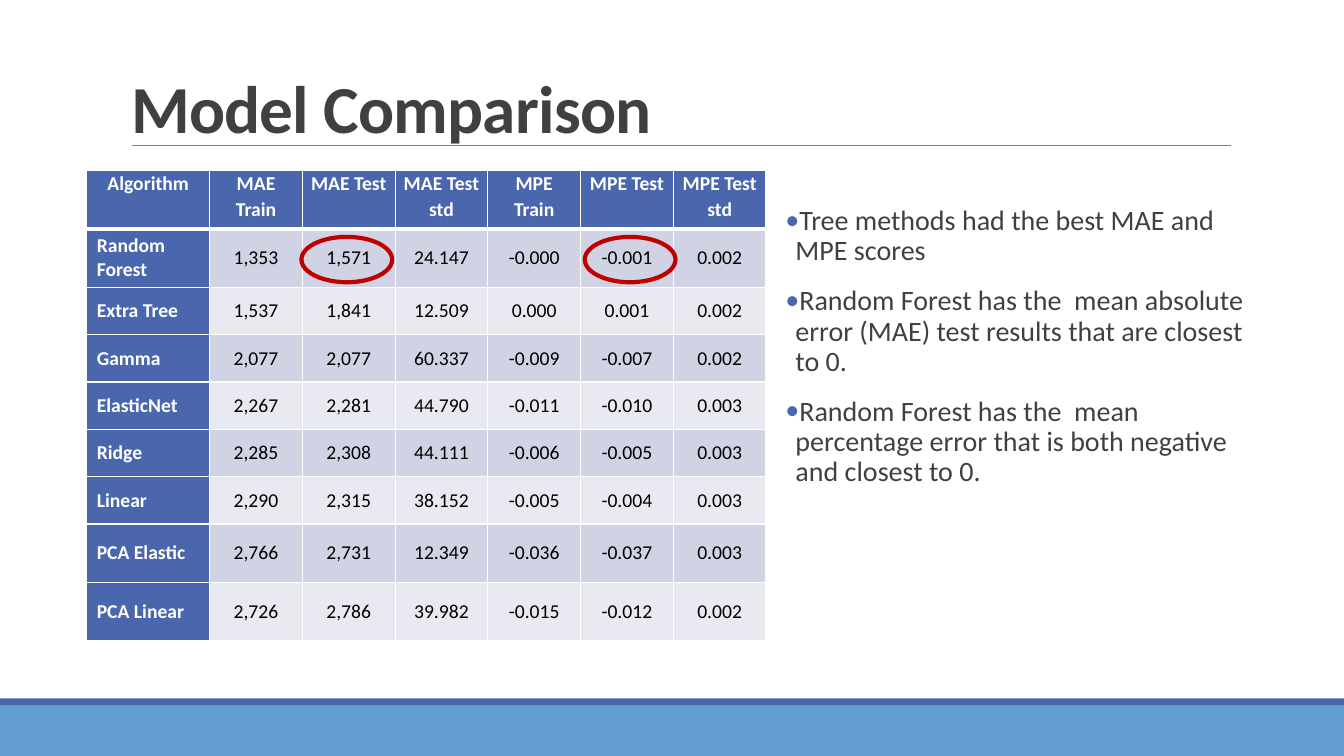
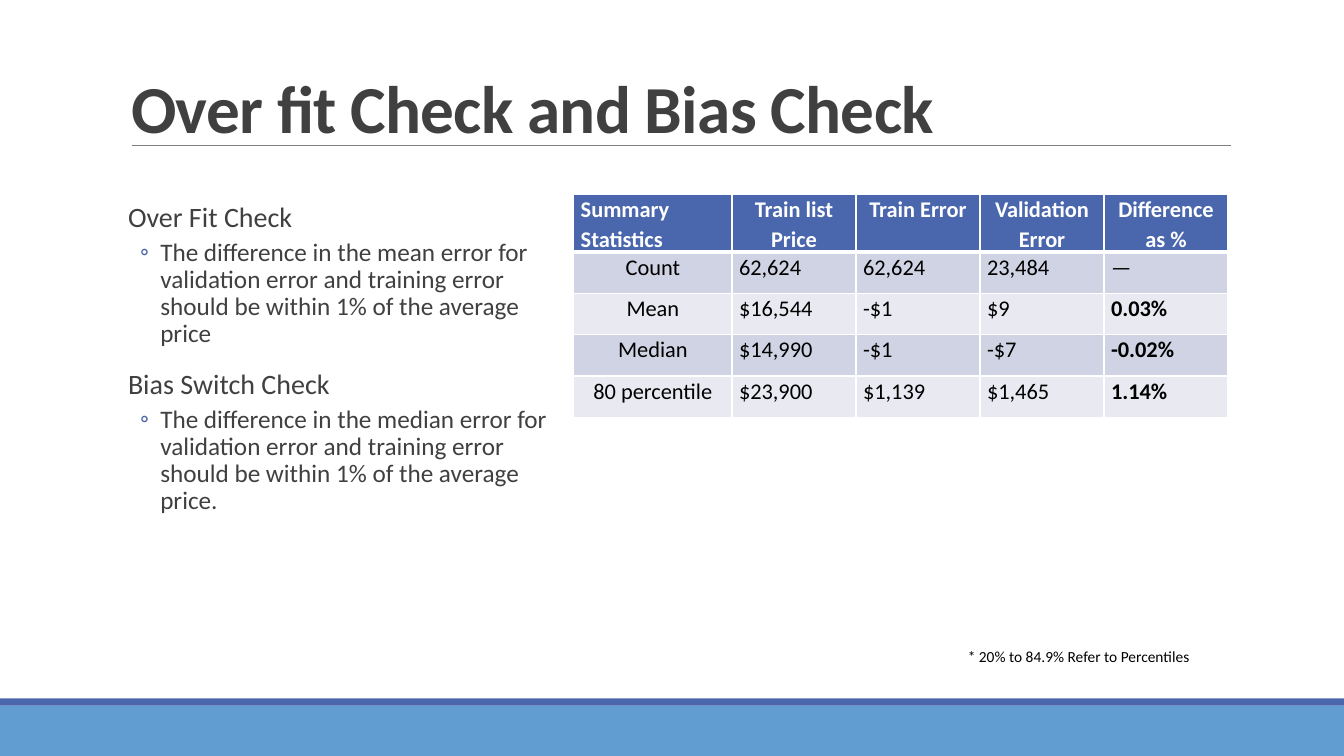
from lxml.etree import SubElement
from pptx import Presentation
from pptx.dml.color import RGBColor
from pptx.enum.shapes import MSO_CONNECTOR, MSO_SHAPE
from pptx.enum.text import MSO_ANCHOR, MSO_AUTO_SIZE, PP_ALIGN
from pptx.oxml.ns import qn
from pptx.util import Pt

PX = 9144  # 100 px to the inch
FONT = "Calibri"
COLORS = {key: RGBColor.from_string(value) for key, value in {
    "band": "629DD1", "accent": "4A66AC", "rule": "808080", "text": "404040",
    "white": "FFFFFF", "black": "000000", "odd_row": "D0D3E3",
    "even_row": "E9EAF1", "highlight": "C00000",
}.items()}


def add_text(paragraph, text, size, color, bold=False):
    run = paragraph.add_run()
    run.text = text
    run.font.name = FONT
    run.font.size = Pt(size)
    run.font.bold = bold
    run.font.color.rgb = COLORS[color]
    return run


def add_grid(slide, left, top, widths, heights, rows, size, row_headings):
    """Add a banded table; without row headings its body is set compactly."""
    frame = slide.shapes.add_table(len(rows), len(widths), left * PX, top * PX,
                                   sum(widths) * PX, sum(heights) * PX)
    table = frame.table
    table.first_col = row_headings
    for column, width in zip(table.columns, widths):
        column.width = width * PX
    for row, height in zip(table.rows, heights):
        row.height = height * PX

    for row_index, values in enumerate(rows):
        for column_index, value in enumerate(values):
            cell = table.cell(row_index, column_index)
            is_header = row_index == 0
            is_first = column_index == 0
            is_heading = is_header or (row_headings and is_first)
            compact = is_header or not row_headings
            if row_headings:
                centered = is_header or not is_first
            else:
                centered = is_header != is_first

            cell.margin_left = cell.margin_right = (7 if compact else 10) * PX
            cell.margin_top = cell.margin_bottom = (0 if compact else 5) * PX
            cell.vertical_anchor = MSO_ANCHOR.TOP if compact else MSO_ANCHOR.MIDDLE
            properties = cell._tc.get_or_add_tcPr()
            for side in "LRTB":
                under_header = (side, row_index) in (("B", 0), ("T", 1))
                border = SubElement(properties, qn(f"a:ln{side}"),
                                    w=str(Pt(3 if under_header else 1)))
                fill = SubElement(border, qn("a:solidFill"))
                SubElement(fill, qn("a:srgbClr"), val=str(COLORS["white"]))
            band = "odd_row" if row_index % 2 else "even_row"
            cell.fill.solid()
            cell.fill.fore_color.rgb = COLORS["accent" if is_heading else band]

            paragraph = cell.text_frame.paragraphs[0]
            paragraph.alignment = PP_ALIGN.CENTER if centered else PP_ALIGN.LEFT
            if compact:
                paragraph.line_spacing = 1.07
            add_text(paragraph, value, size, "white" if is_heading else "black",
                     is_heading or value.endswith("%"))


presentation = Presentation()
presentation.slide_width = 1333 * PX
presentation.slide_height = 750 * PX
layout = presentation.slide_layouts[5]

# Titles and body texts: bullet, left margin, hanging indent, size, text
PLAIN = ("", 10, 0, 20)
DOT = ("•", 10, -10, 20)
RING = ("◦", 42, -20, 18)
contents = [
    ("Model Comparison", (779, 200, 463, 476), [
        (DOT, "Tree methods had the best MAE and MPE scores"),
        (DOT, "Random Forest has the  mean absolute error (MAE) test results "
              "that are closest to 0."),
        (DOT, "Random Forest has the  mean percentage error that is both "
              "negative and closest to 0."),
    ]),
    ("Over fit Check and Bias Check", (117, 197, 426, 440), [
        (PLAIN, "Over Fit Check"),
        (RING, "The difference in the mean error for validation error and "
               "training error should be within 1% of the average price"),
        (PLAIN, "Bias Switch Check"),
        (RING, "The difference in the median error for validation error and "
               "training error should be within 1% of the average price."),
    ]),
]
slides = []
for title_text, body_box, body_items in contents:
    slide = presentation.slides.add_slide(layout)
    slides.append(slide)
    title = slide.shapes.title
    title.left, title.top, title.width, title.height = (
        length * PX for length in (120, 31, 1100, 120))
    title.text_frame.auto_size = MSO_AUTO_SIZE.NONE
    title.text_frame.vertical_anchor = MSO_ANCHOR.BOTTOM
    paragraph = title.text_frame.paragraphs[0]
    paragraph.alignment = PP_ALIGN.LEFT
    paragraph.line_spacing = 0.85
    run = add_text(paragraph, title_text, 48, "text", bold=True)
    run._r.get_or_add_rPr().set("spc", "-50")

    body = slide.shapes.add_textbox(*(length * PX for length in body_box))
    text_frame = body.text_frame
    text_frame.word_wrap = True
    text_frame.margin_left = text_frame.margin_right = 0
    for index, ((bullet, margin, indent, size), text) in enumerate(body_items):
        paragraph = text_frame.add_paragraph() if index else text_frame.paragraphs[0]
        is_sub_item = bullet == "◦"
        paragraph.level = 1 if is_sub_item else 0
        paragraph.line_spacing = 0.9
        paragraph.space_before = Pt(2 if is_sub_item else 12)
        paragraph.space_after = Pt(4 if is_sub_item else 2)
        properties = paragraph._p.get_or_add_pPr()
        properties.set("marL", str(margin * PX))
        properties.set("indent", str(indent * PX))
        if bullet:
            bullet_color = SubElement(properties, qn("a:buClr"))
            SubElement(bullet_color, qn("a:srgbClr"), val=str(COLORS["accent"]))
            SubElement(properties, qn("a:buFont"), typeface=FONT)
            SubElement(properties, qn("a:buChar"), char=bullet)
        add_text(paragraph, text, size, "text")

comparison, checks = slides

# Shared bands and title rule: drawn once, then moved to the layout
decorations = []
for color, top, height in (("band", 700, 50), ("accent", 693, 7)):
    band = comparison.shapes.add_shape(MSO_SHAPE.RECTANGLE, 0, top * PX,
                                       presentation.slide_width, height * PX)
    band.shadow.inherit = False
    band.fill.solid()
    band.fill.fore_color.rgb = COLORS[color]
    band.line.fill.background()
    decorations.append(band)
rule = comparison.shapes.add_connector(MSO_CONNECTOR.STRAIGHT, 131 * PX, 144 * PX,
                                       1221 * PX, 144 * PX)
rule.line.color.rgb = COLORS["rule"]
rule.line.width = Pt(0.5)
SubElement(rule.element.spPr, qn("a:effectLst"))
decorations.append(rule)
for decoration in decorations:
    layout.element.cSld.spTree.append(decoration.element)

# Model comparison
add_grid(comparison, 86, 169, [122] + [92] * 6, [58] * 2 + [47] * 5 + [58] * 2, [
    ("Algorithm", "MAE Train", "MAE Test", "MAE Test std",
     "MPE Train", "MPE Test", "MPE Test std"),
    ("Random Forest", "1,353", "1,571", "24.147", "-0.000", "-0.001", "0.002"),
    ("Extra Tree", "1,537", "1,841", "12.509", "0.000", "0.001", "0.002"),
    ("Gamma", "2,077", "2,077", "60.337", "-0.009", "-0.007", "0.002"),
    ("ElasticNet", "2,267", "2,281", "44.790", "-0.011", "-0.010", "0.003"),
    ("Ridge", "2,285", "2,308", "44.111", "-0.006", "-0.005", "0.003"),
    ("Linear", "2,290", "2,315", "38.152", "-0.005", "-0.004", "0.003"),
    ("PCA Elastic", "2,766", "2,731", "12.349", "-0.036", "-0.037", "0.003"),
    ("PCA Linear", "2,726", "2,786", "39.982", "-0.015", "-0.012", "0.002"),
], size=14, row_headings=True)
for left in (299, 580):
    ring = comparison.shapes.add_shape(MSO_SHAPE.OVAL, left * PX, 235 * PX,
                                       90 * PX, 45 * PX)
    ring.shadow.inherit = False
    ring.fill.background()
    ring.line.color.rgb = COLORS["highlight"]
    ring.line.width = Pt(3)

# Overfit and bias checks
add_grid(checks, 569, 193, [157] + [123] * 4, [41] * 5, [
    ("Summary Statistics", "Train list Price", "Train Error",
     "Validation Error", "Difference as %"),
    ("Count", "62,624", "62,624", "23,484", "—"),
    ("Mean", "$16,544", "-$1", "$9", "0.03%"),
    ("Median", "$14,990", "-$1", "-$7", "-0.02%"),
    ("80 percentile", "$23,900", "$1,139", "$1,465", "1.14%"),
], size=16, row_headings=False)
footnote = checks.shapes.add_textbox(950 * PX, 637 * PX, 258 * PX, 29 * PX)
footnote.text_frame.word_wrap = True
add_text(footnote.text_frame.paragraphs[0], "* 20% to 84.9% Refer to Percentiles",
         11, "black")

presentation.save("out.pptx")
